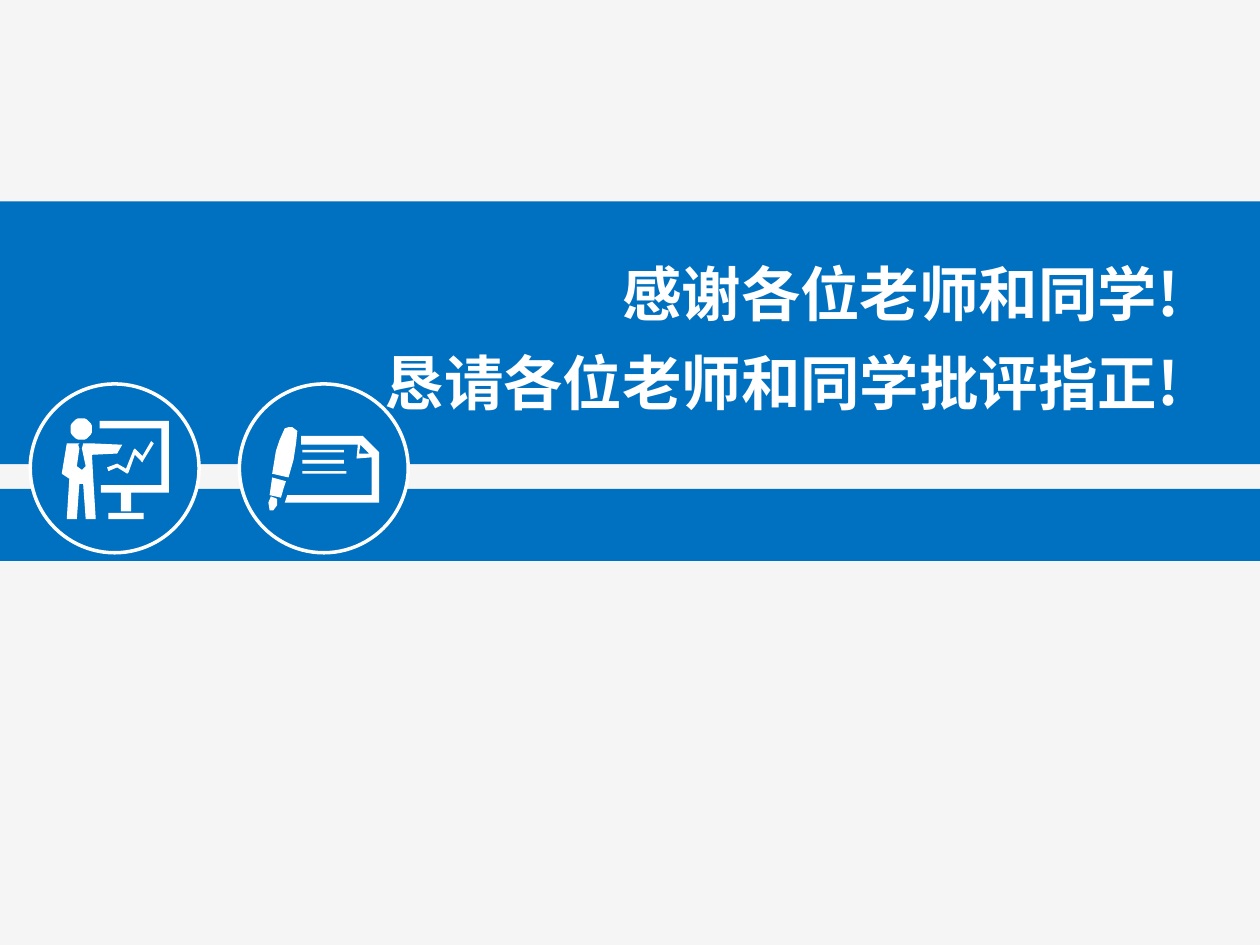
from math import cos, pi, sin

from lxml import etree
from pptx import Presentation
from pptx.dml.color import RGBColor
from pptx.enum.lang import MSO_LANGUAGE_ID
from pptx.enum.shapes import MSO_SHAPE
from pptx.enum.text import MSO_ANCHOR, MSO_AUTO_SIZE, PP_ALIGN
from pptx.oxml.ns import qn
from pptx.util import Pt

RECTANGLE, OVAL = MSO_SHAPE.RECTANGLE, MSO_SHAPE.OVAL
TOP, RIGHT = MSO_ANCHOR.TOP, PP_ALIGN.RIGHT
GROW = MSO_AUTO_SIZE.SHAPE_TO_FIT_TEXT
CHINESE = MSO_LANGUAGE_ID.SIMPLIFIED_CHINESE
BLUE, WHITE, PALE = "0070C0", "FFFFFF", "F5F5F5"
FONT = "Noto Sans CJK SC"
UNIT = Pt(0.72)  # icon outlines are drawn on a grid of this size


def paint(fill, color):
    fill.solid()
    fill.fore_color.rgb = RGBColor.from_string(color)


def box(left, top, right, bottom):
    return [(left, top), (right, top), (right, bottom), (left, bottom)]


presentation = Presentation()
presentation.slide_width, presentation.slide_height = Pt(720), Pt(540)
slide = presentation.slides.add_slide(presentation.slide_layouts[5])
paint(slide.background.fill, PALE)

# Blue bands
for top, height in ((279.4, 41.2), (115, 150.2)):
    band = slide.shapes.add_shape(RECTANGLE, 0, Pt(top), Pt(720), Pt(height))
    band.shadow.inherit = False
    paint(band.fill, BLUE)
    band.line.fill.background()

# Closing words, above the bands and below the icons
title = slide.shapes.title
band.element.addnext(title.element)
title.left, title.top, title.width, title.height = Pt(203), Pt(133.2), Pt(478), Pt(110.2)
frame = title.text_frame
frame.text = "感谢各位老师和同学!\n恳请各位老师和同学批评指正!"
frame_format = {"word_wrap": True, "auto_size": GROW, "vertical_anchor": TOP}
for name, value in frame_format.items():
    setattr(frame, name, value)
paragraph_format = {"alignment": RIGHT, "line_spacing": 1.25,
                    "space_before": Pt(0), "space_after": Pt(0)}
font_format = {"size": Pt(34), "bold": True, "name": FONT, "language_id": CHINESE}
for paragraph in frame.paragraphs:
    for name, value in paragraph_format.items():
        setattr(paragraph, name, value)
    for run in paragraph.runs:
        for name, value in font_format.items():
            setattr(run.font, name, value)
        run.font.color.rgb = RGBColor.from_string(WHITE)
        east_asian = etree.SubElement(run.font._element, qn("a:ea"))
        east_asian.set("typeface", FONT)

# Icon outlines, one list of points per contour
head = [(64.5 + 8.6 * cos(step * pi / 18), 340.5 + 8.6 * sin(step * pi / 18))
        for step in range(36)]
chart_line = [(85, 371), (93, 368), (100, 372), (106, 357), (107, 356), (113, 362),
              (120, 350), (121.5, 352), (114, 365), (113, 367), (107, 361), (102, 375),
              (101, 376.5), (93, 371), (86, 374)]
stand_foot = box(86, 407, 114, 412)
board = [(104, 391), (134, 391), (134, 334), (79, 334), (79, 340), (128, 340),
         (128, 385), (80, 385), (80, 391), (96, 391), (96, 406), (104, 406)]
body = [(49, 376), (55, 380), (53, 412), (61, 412), (63, 384), (66, 384), (68, 412),
        (76, 412), (74, 380), (73, 361), (93, 360), (97, 353), (75, 352), (66, 352),
        (65, 356), (68, 370), (65, 373), (61, 370), (63, 356), (62, 353), (63, 352),
        (53, 352)]
presenter = [head, chart_line, stand_foot, board, body]

pen_barrel = [(226, 340), (229, 339), (232, 339), (236, 342), (235, 352), (233, 365),
              (229, 379), (216, 376), (219, 358), (222, 349)]
pen_grip = [(216, 379), (215, 386), (214, 393), (223, 395), (225, 388), (227, 382)]
pen_nib = [(215, 394), (220, 396), (220, 401), (217, 405), (214, 405), (213, 399)]
paper = [(228, 393), (226, 399), (301, 399), (301, 359), (300, 358), (289, 347),
         (288, 346), (239, 346), (239, 353), (284, 353), (283, 364), (295, 363),
         (295, 393)]
paper_fold = [(293, 360), (285, 360), (286, 353)]
text_lines = [box(240, 357, 273, 359), box(240, 365, 273, 368), box(240, 374.5, 275, 376)]
writing = [pen_barrel, pen_grip, pen_nib, paper, paper_fold, *text_lines]

# Round badges with their icons
for left, contours in ((17.3, presenter), (136.8, writing)):
    badge = slide.shapes.add_shape(OVAL, Pt(left), Pt(219.4), Pt(96.5), Pt(96.5))
    badge.shadow.inherit = False
    paint(badge.fill, BLUE)
    paint(badge.line.fill, WHITE)
    badge.line.width = Pt(2)

    builder = slide.shapes.build_freeform(*contours[0][0], scale=UNIT)
    builder.add_line_segments(contours[0][1:])
    for contour in contours[1:]:
        builder.move_to(*contour[0])
        builder.add_line_segments(contour[1:])
    icon = builder.convert_to_shape()
    icon.shadow.inherit = False
    paint(icon.fill, WHITE)
    icon.line.fill.background()

presentation.save("out.pptx")
